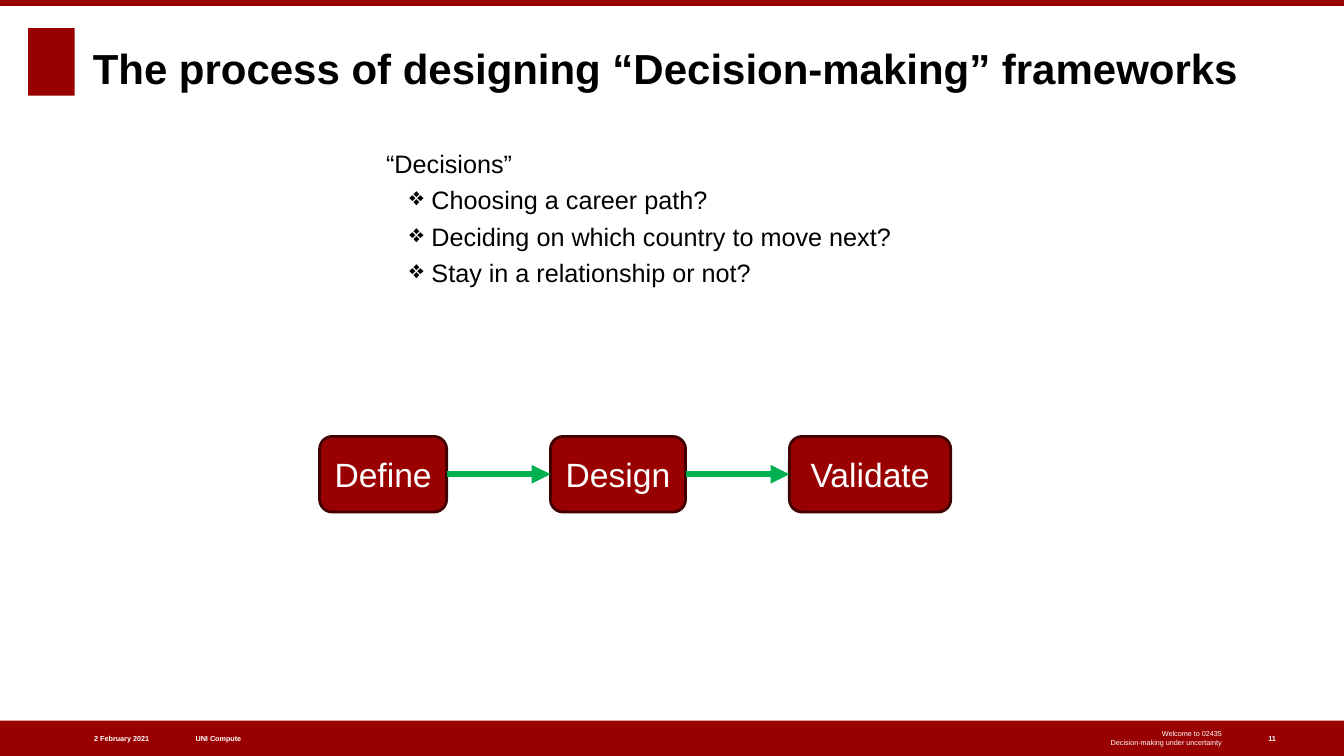
from pptx import Presentation
from pptx.dml.color import RGBColor
from pptx.enum import shapes, text
from pptx.oxml import parse_xml
from pptx.oxml import ns
from pptx.util import Inches, Pt

COLORS = {"red": "990000", "edge": "430000", "green": "00B050",
          "white": "FFFFFF", "black": "000000"}
FONT = "Arial"
LEFT, RIGHT, CENTER = text.PP_ALIGN.LEFT, text.PP_ALIGN.RIGHT, text.PP_ALIGN.CENTER
TOP, MIDDLE, BOTTOM = text.MSO_ANCHOR.TOP, text.MSO_ANCHOR.MIDDLE, text.MSO_ANCHOR.BOTTOM


def color(name):
    return RGBColor.from_string(COLORS[name])


def write(frame, content, size, ink, bold=False, align=LEFT, anchor=MIDDLE):
    frame.text = content
    frame.word_wrap = True
    frame.auto_size = text.MSO_AUTO_SIZE.NONE
    frame.vertical_anchor = anchor
    frame.margin_left = frame.margin_right = 0
    frame.margin_top = frame.margin_bottom = 0
    for paragraph in frame.paragraphs:
        paragraph.alignment = align
        for run in paragraph.runs:
            run.font.name = FONT
            run.font.size = Pt(size)
            run.font.bold = bold
            run.font.color.rgb = color(ink)


def add_label(slide, box, content, size, ink, **style):
    label = slide.shapes.add_textbox(*map(Inches, box))
    write(label.text_frame, content, size, ink, **style)
    return label


def add_block(slide, box, kind=shapes.MSO_SHAPE.RECTANGLE):
    block = slide.shapes.add_shape(kind, *map(Inches, box))
    block.shadow.inherit = False
    block.fill.solid()
    block.fill.fore_color.rgb = color("red")
    block.line.fill.background()
    return block


def add_header(slide, box):
    left, top, width, height = box
    add_block(slide, (left, top, width, 0.06))
    add_block(slide, (left + 0.28, top + 0.28, 0.46, 0.67))
    title = slide.shapes.title
    title.left, title.top = Inches(left + 0.92), Inches(top)
    title.width, title.height = Inches(11.9), Inches(height)
    write(title.text_frame, "The process of designing “Decision-making” frameworks",
          30, "black", bold=True, anchor=BOTTOM)


def add_footer(slide, box):
    left, top, width, height = box
    add_block(slide, box)
    entries = [
        (0.27, 1.21, "2 February 2021", True, RIGHT),
        (1.94, 3.72, "UNI Compute", True, LEFT),
        (6.11, 6.01, "Welcome to 02435\vDecision-making under uncertainty", False, RIGHT),
        (12.58, 0.47, "11", True, LEFT),
    ]
    for offset, entry_width, content, bold, align in entries:
        add_label(slide, (left + offset, top, entry_width, height), content,
                  5.2, "white", bold=bold, align=align)


def add_decisions(slide, box):
    lines = ["“Decisions”", "Choosing a career path?",
             "Deciding on which country to move next?", "Stay in a relationship or not?"]
    decisions = add_label(slide, box, "\n".join(lines), 18, "black", anchor=TOP)
    for choice in decisions.text_frame.paragraphs[1:]:
        choice.level = 1
        choice.space_before = Pt(4.4)
        properties = choice._p.get_or_add_pPr()
        properties.set("marL", str(Inches(0.45)))
        properties.set("indent", str(Inches(-0.22)))
        properties.append(parse_xml(f'<a:buChar {ns.nsdecls("a")} char="❖"/>'))


def add_arrow(slide, start, end):
    arrow = slide.shapes.add_connector(shapes.MSO_CONNECTOR.STRAIGHT, 0, 0, 0, 0)
    arrow.begin_connect(start, 3)
    arrow.end_connect(end, 1)
    arrow.line.color.rgb = color("green")
    arrow.line.width = Pt(4.5)
    arrow.line._get_or_add_ln().append(
        parse_xml(f'<a:tailEnd {ns.nsdecls("a")} type="triangle"/>'))
    arrow._element.spPr.append(parse_xml(f'<a:effectLst {ns.nsdecls("a")}/>'))


def add_process(slide, box):
    left, top, width, height = box
    gap = 1.03
    previous = None
    for name, step_width in [("Define", 1.26), ("Design", 1.34), ("Validate", 1.6)]:
        step = add_block(slide, (left, top, step_width, height),
                         shapes.MSO_SHAPE.ROUNDED_RECTANGLE)
        step.line.color.rgb = color("edge")
        step.line.width = Pt(2)
        write(step.text_frame, name, 24, "white", align=CENTER)
        if previous is not None:
            add_arrow(slide, previous, step)
        previous = step
        left += step_width + gap


def main():
    deck = Presentation()
    deck.slide_width, deck.slide_height = Inches(13.33), Inches(7.5)
    slide = deck.slides.add_slide(deck.slide_layouts[5])
    add_header(slide, (0, 0, 13.33, 0.92))
    add_decisions(slide, (3.83, 1.47, 5.5, 1.92))
    add_process(slide, (3.17, 4.33, 6.26, 0.75))
    add_footer(slide, (0, 7.15, 13.33, 0.35))
    deck.save("out.pptx")


if __name__ == "__main__":
    main()
